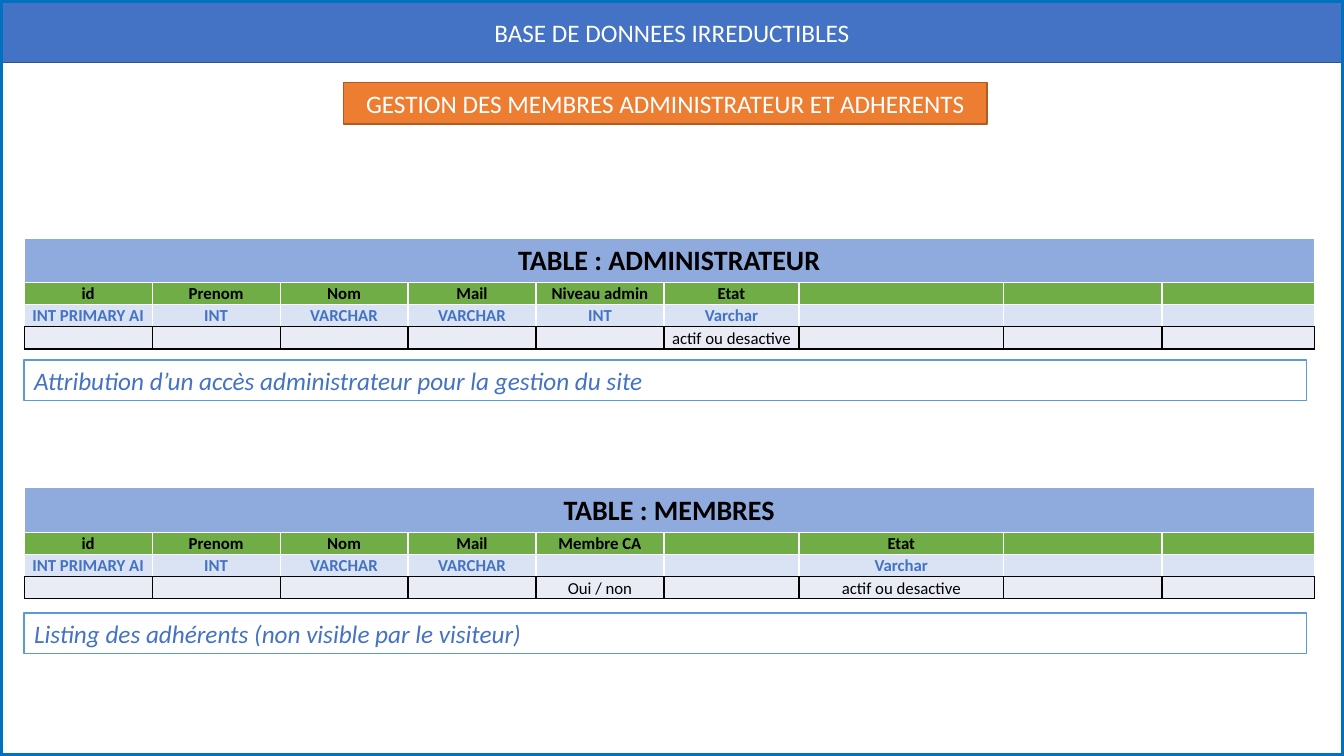
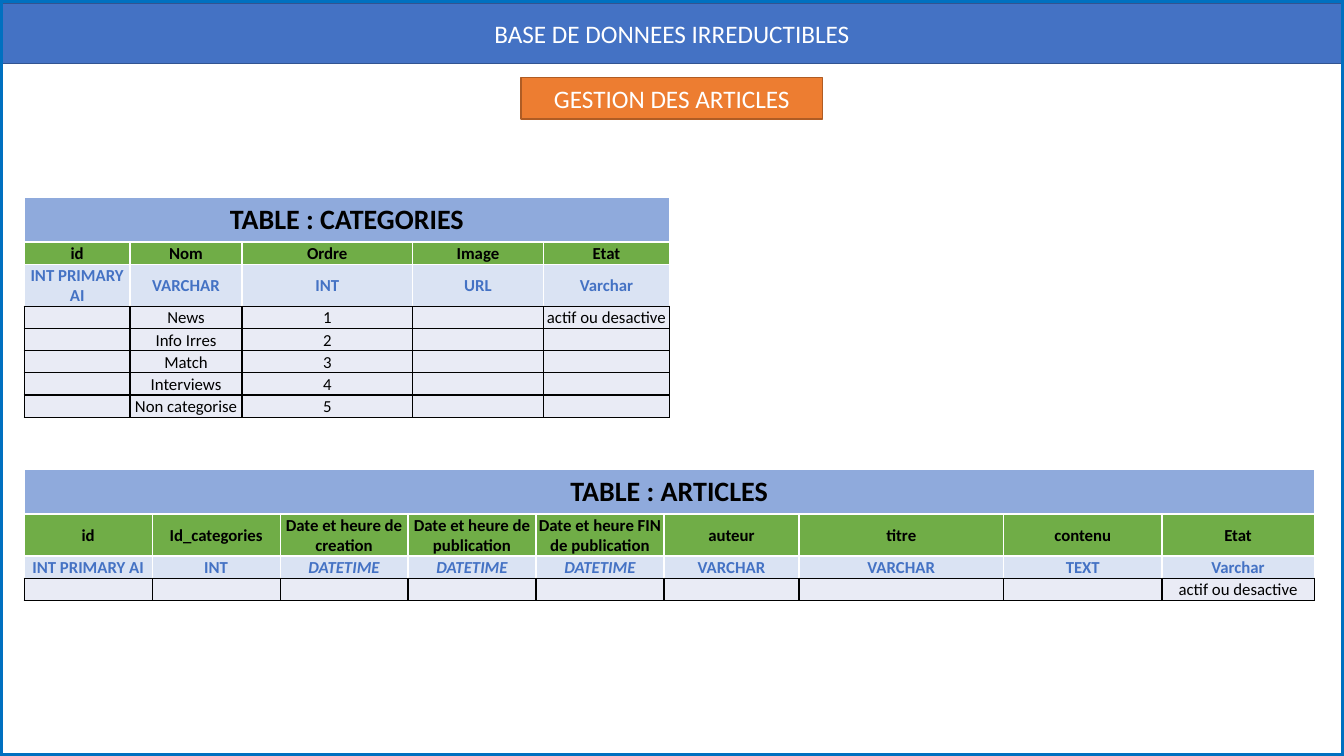
from lxml.etree import SubElement
from pptx import Presentation
from pptx.dml.color import RGBColor
from pptx.enum.shapes import MSO_SHAPE
from pptx.enum.text import MSO_ANCHOR, PP_ALIGN
from pptx.oxml.ns import qn
from pptx.util import Inches, Pt

SLIDE_WIDTH, SLIDE_HEIGHT = Inches(13.333), Inches(7.5)
FONT = "Calibri"
COLORS = {
    "white": "FFFFFF", "black": "000000",
    "band": "4472C4", "band_line": "325491",
    "badge": "ED7D31", "badge_line": "AF5C24",
    "note_line": "5B9BD5", "frame": "0070C0",
    "caption": "8FAADC", "fields": "70AD47", "types": "DAE3F3", "data": "E9EBF5",
}

# Lengths are percentages of the slide's width or height
MARGIN = 1.8
WIDE_COLUMNS = [9.52] * 5 + [10.05, 15.23, 11.78, 11.33]
NARROW_COLUMNS = [7.88, 8.33, 12.68, 9.75, 9.38]
CAPTION_HEIGHT, ROW_HEIGHT = 5.87, 2.94

# Fill, line, line width and text of each kind of box
BOX_STYLES = {
    "band": dict(fill="band", line="band_line", width=1, align=PP_ALIGN.CENTER,
                 font=dict(size=Pt(18), bold=False), color="white"),
    "badge": dict(fill="badge", line="badge_line", width=1, align=PP_ALIGN.CENTER,
                  font=dict(size=Pt(18)), color="white"),
    "note": dict(fill="white", line="note_line", width=1, align=PP_ALIGN.LEFT,
                 font=dict(size=Pt(18), italic=True), color="band"),
    "frame": dict(fill=None, line="frame", width=4.5),
}

# Text, anchor and border colours of each kind of table row
ROW_STYLES = {
    "caption": dict(font=dict(size=Pt(20), bold=True), color="black",
                    anchor=MSO_ANCHOR.MIDDLE, border="white", bottom="white"),
    "fields": dict(font=dict(size=Pt(12), bold=True), color="black",
                   anchor=MSO_ANCHOR.MIDDLE, border="white", bottom="white"),
    "types": dict(font=dict(size=Pt(12), bold=True), color="band",
                  anchor=MSO_ANCHOR.MIDDLE, border="white", bottom="black"),
    "data": dict(font=dict(size=Pt(12), bold=False), color="black",
                 anchor=MSO_ANCHOR.BOTTOM, border="black", bottom="black"),
}


def across(percent):
    return round(SLIDE_WIDTH * percent / 100)


def down(percent):
    return round(SLIDE_HEIGHT * percent / 100)


def rgb(name):
    return RGBColor.from_string(COLORS[name])


def write(paragraph, text, style, align):
    paragraph.alignment = align
    run = paragraph.add_run()
    run.text = text
    run.font.name = FONT
    run.font.color.rgb = rgb(style["color"])
    for attribute, value in style["font"].items():
        setattr(run.font, attribute, value)
    return run


def format_box(shape, kind, text=""):
    style = BOX_STYLES[kind]
    if style["fill"]:
        shape.fill.solid()
        shape.fill.fore_color.rgb = rgb(style["fill"])
    else:
        shape.fill.background()
    shape.line.color.rgb = rgb(style["line"])
    shape.line.width = Pt(style["width"])
    if text:
        frame = shape.text_frame
        frame.word_wrap = True
        frame.vertical_anchor = MSO_ANCHOR.MIDDLE
        write(frame.paragraphs[0], text, style, style["align"])


def add_box(slide, kind, left, top, width, height, text=""):
    shape = slide.shapes.add_shape(
        MSO_SHAPE.RECTANGLE, across(left), down(top), across(width), down(height))
    shape.shadow.inherit = False
    format_box(shape, kind, text)


def add_band(slide, top):
    title = slide.shapes.title
    title.left, title.top = 0, down(top)
    title.width, title.height = SLIDE_WIDTH, down(8)
    format_box(title, "band", "BASE DE DONNEES IRREDUCTIBLES")


def add_note(slide, top, text):
    add_box(slide, "note", MARGIN, top, 95.4, 5.4, text)


def add_frame(slide):
    add_box(slide, "frame", 0, 0, 100, 100)


def set_borders(cell, style):
    properties = cell._tc.get_or_add_tcPr()
    for side in "LRTB":
        color = style["bottom" if side == "B" else "border"]
        line = SubElement(properties, qn(f"a:ln{side}"), w=str(Pt(1)))
        fill = SubElement(line, qn("a:solidFill"))
        SubElement(fill, qn("a:srgbClr"), val=COLORS[color])


def format_cell(cell, kind, text):
    style = ROW_STYLES[kind]
    set_borders(cell, style)
    cell.fill.solid()
    cell.fill.fore_color.rgb = rgb(kind)
    cell.vertical_anchor = style["anchor"]
    cell.margin_left = cell.margin_right = cell.margin_top = Inches(0.01)
    cell.margin_bottom = 0
    paragraph = cell.text_frame.paragraphs[0]
    if text:
        run = write(paragraph, text, style, PP_ALIGN.CENTER)
        run.font.italic = text == "DATETIME"
    else:
        # An empty cell keeps the row's text size, so the row stays low
        size = round(style["font"]["size"].pt * 100)
        SubElement(paragraph._p, qn("a:endParaRPr"), sz=str(size))


def add_schema(slide, top, columns, name, fields, types, data):
    """Draw a database table: caption, field names, field types, sample rows."""
    rows = [("caption", [f"TABLE : {name}"]), ("fields", fields), ("types", types)]
    rows += [("data", values) for values in data]
    heights = [CAPTION_HEIGHT] + [ROW_HEIGHT] * (len(rows) - 1)
    table = slide.shapes.add_table(
        len(rows), len(columns), across(MARGIN), down(top),
        across(sum(columns)), down(sum(heights))).table
    table.first_row = table.horz_banding = False
    for column, width in zip(table.columns, columns):
        column.width = across(width)
    for row, height, (kind, texts) in zip(table.rows, heights, rows):
        row.height = down(height)
        padded = texts + [""] * (len(columns) - len(texts))
        for cell, text in zip(row.cells, padded):
            format_cell(cell, kind, text)
    table.cell(0, 0).merge(table.cell(0, len(columns) - 1))


def build_members(slide):
    add_band(slide, 0.27)
    add_box(slide, "badge", 25.58, 10.93, 47.85, 5.47,
            "GESTION DES MEMBRES ADMINISTRATEUR ET ADHERENTS")
    person_fields = ["id", "Prenom", "Nom", "Mail"]
    person_types = ["INT PRIMARY AI", "INT", "VARCHAR", "VARCHAR"]
    add_schema(slide, 31.47, WIDE_COLUMNS, "ADMINISTRATEUR",
               person_fields + ["Niveau admin", "Etat"],
               person_types + ["INT", "Varchar"],
               [[""] * 5 + ["actif ou desactive"]])
    add_note(slide, 47.6, "Attribution d’un accès administrateur pour la gestion du site")
    add_schema(slide, 64.53, WIDE_COLUMNS, "MEMBRES",
               person_fields + ["Membre CA", "", "Etat"],
               person_types + ["", "", "Varchar"],
               [[""] * 4 + ["Oui / non", "", "actif ou desactive"]])
    add_note(slide, 81.07, "Listing des adhérents (non visible par le visiteur)")
    add_frame(slide)


def build_articles(slide):
    add_band(slide, 0.4)
    add_box(slide, "badge", 38.78, 10.27, 22.43, 5.47, "GESTION DES ARTICLES")
    categories = ["News", "Info Irres", "Match", "Interviews", "Non categorise"]
    category_rows = [["", category, str(order)]
                     for order, category in enumerate(categories, 1)]
    category_rows[0] += ["", "actif ou desactive"]
    add_schema(slide, 26.13, NARROW_COLUMNS, "CATEGORIES",
               ["id", "Nom", "Ordre", "Image", "Etat"],
               ["INT PRIMARY AI", "VARCHAR", "INT", "URL", "Varchar"],
               category_rows)
    add_schema(slide, 62.13, WIDE_COLUMNS, "ARTICLES",
               ["id", "Id_categories", "Date et heure de creation",
                "Date et heure de publication", "Date et heure FIN de publication",
                "auteur", "titre", "contenu", "Etat"],
               ["INT PRIMARY AI", "INT"] + ["DATETIME"] * 3
               + ["VARCHAR", "VARCHAR", "TEXT", "Varchar"],
               [[""] * 8 + ["actif ou desactive"]])
    add_frame(slide)


def main():
    presentation = Presentation()
    presentation.slide_width, presentation.slide_height = SLIDE_WIDTH, SLIDE_HEIGHT
    title_only = presentation.slide_layouts[5]
    for build in (build_members, build_articles):
        build(presentation.slides.add_slide(title_only))
    presentation.save("out.pptx")


if __name__ == "__main__":
    main()
